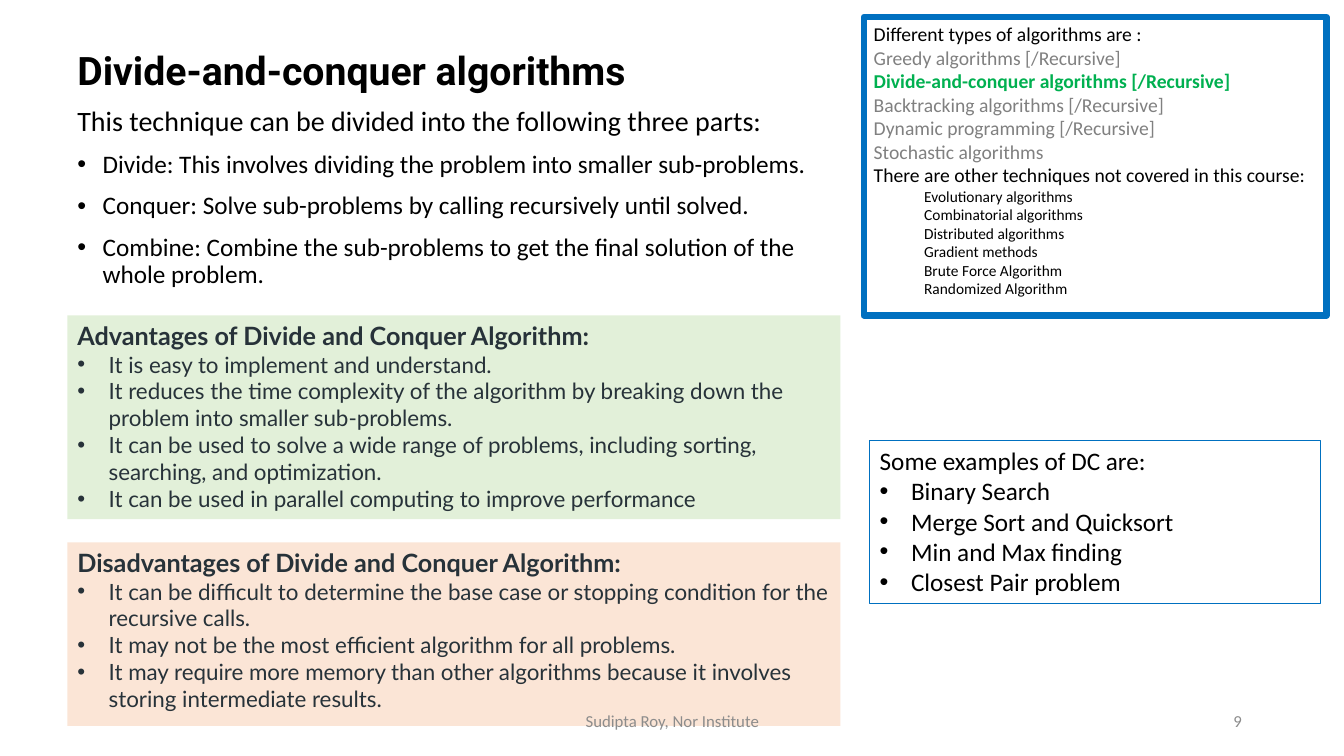
from lxml import etree
from pptx import Presentation
from pptx.dml.color import RGBColor
from pptx.enum.shapes import MSO_SHAPE
from pptx.enum.text import MSO_ANCHOR, MSO_AUTO_SIZE, PP_ALIGN
from pptx.oxml.ns import qn
from pptx.util import Cm, Pt

RECTANGLE = MSO_SHAPE.RECTANGLE
TOP, MIDDLE = MSO_ANCHOR.TOP, MSO_ANCHOR.MIDDLE
LEFT, CENTER, RIGHT = PP_ALIGN.LEFT, PP_ALIGN.CENTER, PP_ALIGN.RIGHT
FIT_SHAPE = MSO_AUTO_SIZE.SHAPE_TO_FIT_TEXT

COLORS = {
    "text": "000000",
    "slate": "273239",
    "muted": "808080",
    "footer": "8C8C8C",
    "current": "00B050",
    "border": "0070C0",
    "advantages": "E2F0D9",
    "disadvantages": "FBE5D6",
}


def rgb(name):
    return RGBColor.from_string(COLORS[name])


def add_panel(slide, box, fill=None, border=None):
    """Rectangle that holds text; border is a width in points."""
    panel = slide.shapes.add_shape(RECTANGLE, *map(Cm, box))
    panel.shadow.inherit = False
    if fill:
        panel.fill.solid()
        panel.fill.fore_color.rgb = rgb(fill)
    else:
        panel.fill.background()
    if border:
        panel.line.color.rgb = rgb("border")
        panel.line.width = Pt(border)
    else:
        panel.line.fill.background()
    frame = panel.text_frame
    frame.word_wrap = True
    frame.auto_size = FIT_SHAPE
    frame.vertical_anchor = TOP
    return frame


def add_text(slide, box, anchor=TOP):
    frame = slide.shapes.add_textbox(*map(Cm, box)).text_frame
    frame.word_wrap = True
    frame.vertical_anchor = anchor
    return frame


def set_indent(paragraph, margin, hanging=0, bullet=False):
    properties = paragraph._p.get_or_add_pPr()
    properties.set("marL", str(Cm(margin)))
    properties.set("indent", str(-Cm(hanging)))
    if bullet:
        etree.SubElement(properties, qn("a:buFont")).set("typeface", "Arial")
        etree.SubElement(properties, qn("a:buChar")).set("char", "•")


def add_line(frame, text, size, color="text", font="Calibri", bold=False, align=LEFT):
    """Write into the empty first paragraph, or append a new one."""
    first = frame.paragraphs[0]
    paragraph = frame.add_paragraph() if first.runs else first
    paragraph.text = text
    paragraph.alignment = align
    style = paragraph.runs[0].font
    style.name, style.size, style.bold = font, Pt(size), bold
    style.color.rgb = rgb(color)
    return paragraph


def add_bullets(frame, items, size, hanging, **style):
    for item in items:
        paragraph = add_line(frame, item, size, **style)
        set_indent(paragraph, hanging, hanging, bullet=True)


# Title, lead sentence and the three parts
def build_introduction(slide, box):
    frame = add_text(slide, box)
    add_line(frame, "Divide-and-conquer algorithms", 28, font="Roboto", bold=True)
    add_line(frame, "This technique can be divided into the following three parts:", 20)
    add_bullets(frame, [
        "Divide: This involves dividing the problem into smaller sub-problems.",
        "Conquer: Solve sub-problems by calling recursively until solved.",
        "Combine: Combine the sub-problems to get the final solution of the whole problem.",
    ], 18, 0.64)
    for paragraph in frame.paragraphs:
        paragraph.line_spacing = 0.9
        paragraph.space_before = Pt(10)


# Overview of algorithm types with the current one highlighted
def build_algorithm_types(slide, box):
    frame = add_panel(slide, box, border=4.5)
    current = "Divide-and-conquer algorithms [/Recursive]"
    add_line(frame, "Different types of algorithms are :", 14)
    for kind in ["Greedy algorithms [/Recursive]", current,
                 "Backtracking algorithms [/Recursive]",
                 "Dynamic programming [/Recursive]", "Stochastic algorithms"]:
        color = "current" if kind == current else "muted"
        add_line(frame, kind, 14, color, bold=kind == current)
    add_line(frame, "There are other techniques not covered in this course:", 14)
    for technique in ["Evolutionary algorithms", "Combinatorial algorithms",
                      "Distributed algorithms", "Gradient methods",
                      "Brute Force Algorithm", "Randomized Algorithm"]:
        paragraph = add_line(frame, technique, 11)
        paragraph.level = 1
        set_indent(paragraph, 1.27)


def build_examples(slide, box):
    frame = add_panel(slide, box, border=0.75)
    add_line(frame, "Some examples of DC are:", 18)
    add_bullets(frame, ["Binary Search", "Merge Sort and Quicksort",
                        "Min and Max finding", "Closest Pair problem"], 18, 0.79)


# Tinted panel with a heading and its points
def build_assessment(slide, box, fill, heading, points):
    frame = add_panel(slide, box, fill=fill)
    add_line(frame, heading, 18, "slate", "Lato", bold=True)
    add_bullets(frame, points, 16, 0.79, color="slate", font="Lato")


def build_footer(slide, box):
    left, top, width, height = box
    number_width = 7.62
    credit = add_text(slide, (left, top, 11.43, height), MIDDLE)
    add_line(credit, "Sudipta Roy, Nor Institute", 12, "footer", align=CENTER)
    number = add_text(slide, (left + width - number_width, top, number_width, height), MIDDLE)
    add_line(number, "9", 12, "footer", align=RIGHT)


def main():
    presentation = Presentation()
    presentation.slide_width, presentation.slide_height = Cm(33.87), Cm(19.05)
    slide = presentation.slides.add_slide(presentation.slide_layouts[6])

    left, width = 1.7, 19.48
    build_introduction(slide, (left, 1.17, width, 7.19))
    build_algorithm_types(slide, (21.77, 0.43, 11.66, 7.52))
    build_examples(slide, (21.92, 11.1, 11.35, 4.11))
    build_assessment(slide, (left, 7.95, width, 5.13), "advantages",
                     "Advantages of Divide and Conquer Algorithm:", [
        "It is easy to implement and understand.",
        "It reduces the time complexity of the algorithm by breaking down the problem "
        "into smaller sub-problems.",
        "It can be used to solve a wide range of problems, including sorting, searching, "
        "and optimization.",
        "It can be used in parallel computing to improve performance",
    ])
    build_assessment(slide, (left, 13.67, width, 4.62), "disadvantages",
                     "Disadvantages of Divide and Conquer Algorithm:", [
        "It can be difficult to determine the base case or stopping condition for the "
        "recursive calls.",
        "It may not be the most efficient algorithm for all problems.",
        "It may require more memory than other algorithms because it involves storing "
        "intermediate results.",
    ])
    build_footer(slide, (11.23, 17.65, 20.32, 1.02))
    presentation.save("out.pptx")


if __name__ == "__main__":
    main()
